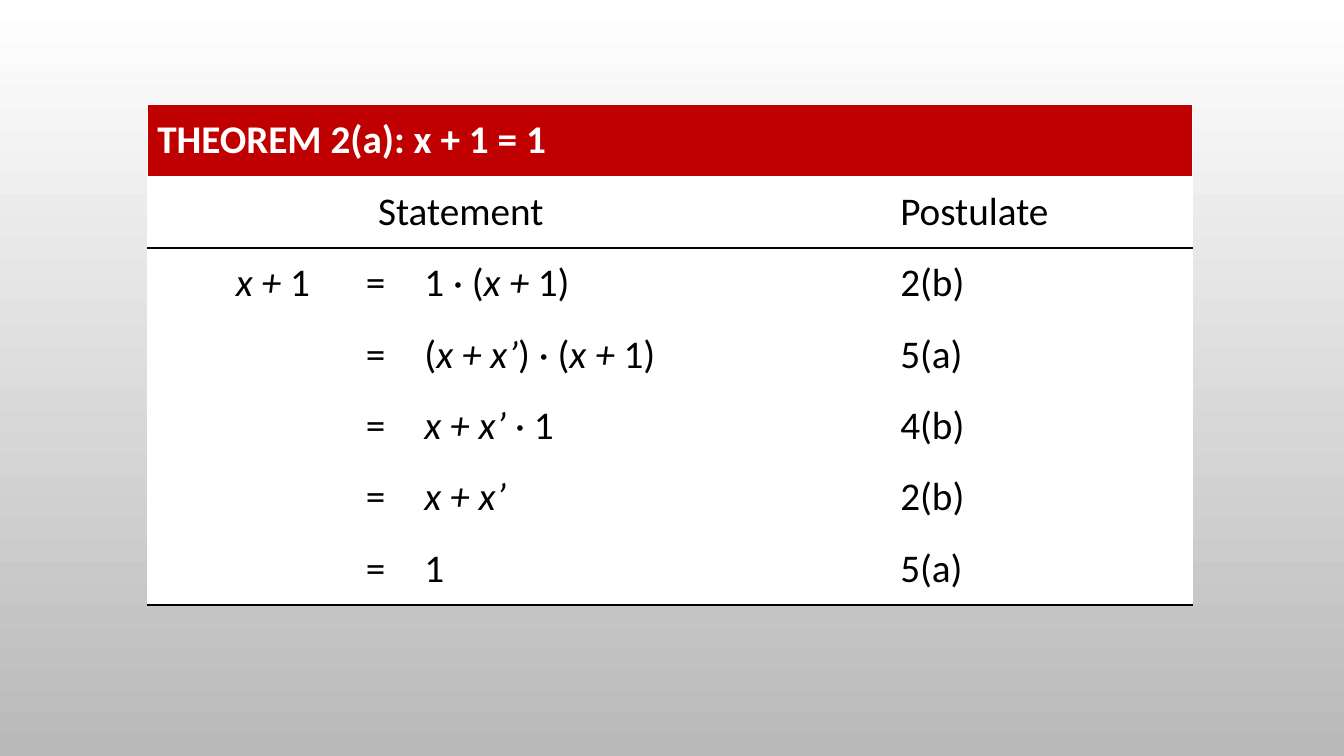
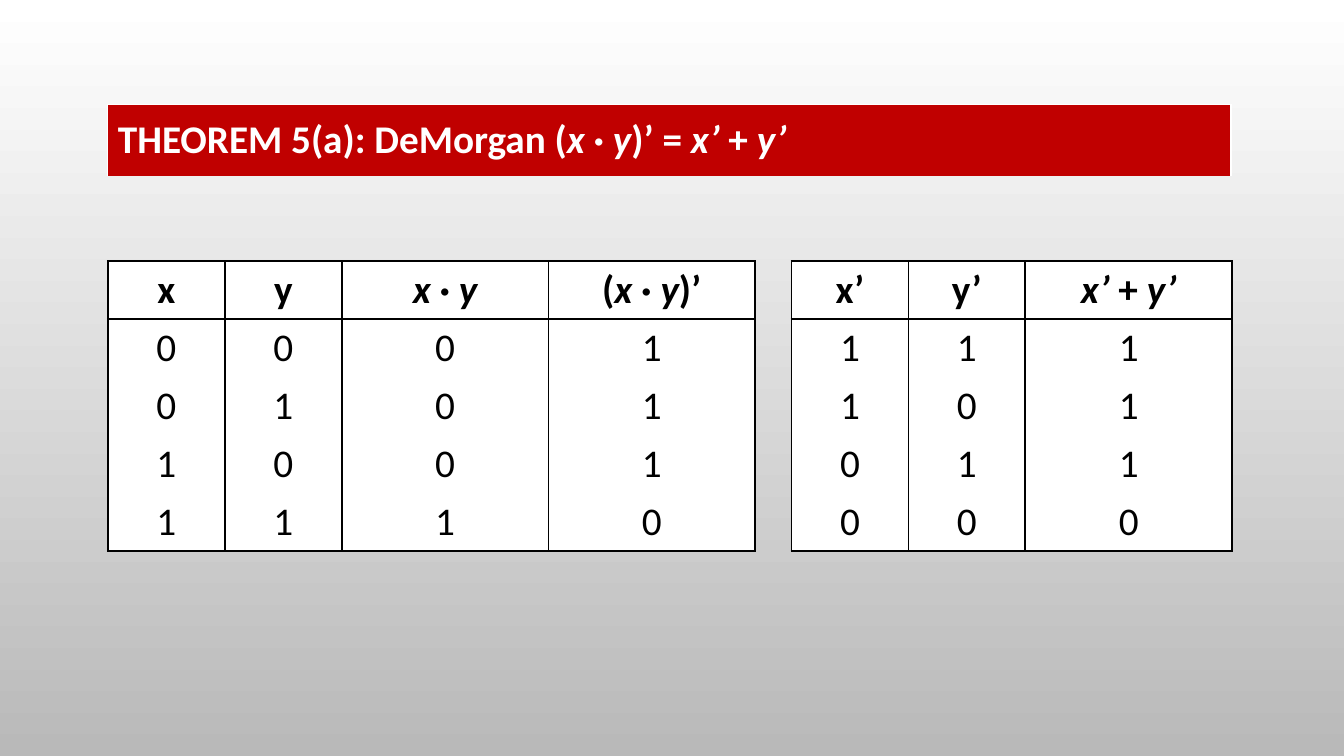
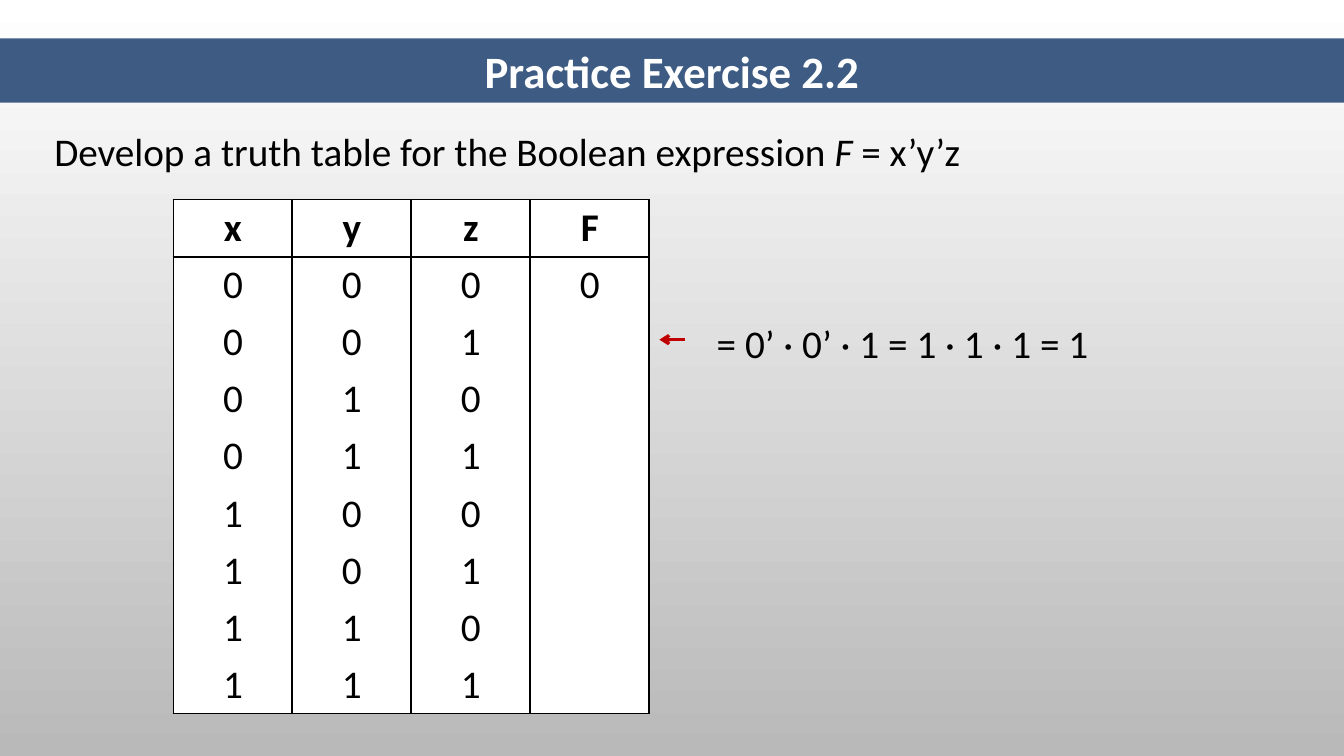
import itertools

import lxml.etree
import pptx
import pptx.dml.color
import pptx.enum.shapes
import pptx.enum.text
import pptx.oxml.ns
import pptx.util

Inches = pptx.util.Inches
Pt = pptx.util.Pt
qn = pptx.oxml.ns.qn
Align = pptx.enum.text.PP_ALIGN
Anchor = pptx.enum.text.MSO_ANCHOR
Fit = pptx.enum.text.MSO_AUTO_SIZE

HUES = {"ink": "000000", "paper": "FFFFFF", "shade": "B9B9B9",
        "red": "C00000", "blue": "3E5C83"}
BODY = {"name": "Calibri", "size": Pt(28), "bold": False}
HEAD = {**BODY, "bold": True}
TITLE = {**HEAD, "size": Pt(32)}
LINES = {"ink": Pt(1.5), "paper": Pt(1)}
PAD = {"margin_top": Inches(0.04), "margin_bottom": Inches(0.04),
       "vertical_anchor": Anchor.MIDDLE}


def tint(hue):
    return pptx.dml.color.RGBColor.from_string(HUES[hue])


def add(parent, tag, **attrs):
    return lxml.etree.SubElement(parent, qn(tag), **attrs)


class Deck:
    def __init__(self):
        self.prs = pptx.Presentation()
        self.prs.slide_width = Inches(13.33)
        self.prs.slide_height = Inches(7.5)
        fill = self.prs.slide_master.background.fill
        fill.gradient()
        fill.gradient_angle = 270
        for stop, hue in zip(fill.gradient_stops, ("paper", "shade")):
            stop.color.rgb = tint(hue)

    def page(self):
        self.slide = self.prs.slides.add_slide(self.prs.slide_layouts[6])

    def put(self, frame, text, style=BODY, hue="ink", align=Align.LEFT):
        para = frame.paragraphs[0]
        para.alignment = align
        for i, part in enumerate(text.split("*")):
            if part:
                run = para.add_run()
                run.text = part
                for key, value in {**style, "italic": i % 2 == 1}.items():
                    setattr(run.font, key, value)
                run.font.color.rgb = tint(hue)

    def label(self, text, left, top, width, wrap=True):
        box = self.slide.shapes.add_textbox(
            Inches(left), Inches(top), Inches(width), Inches(0.57))
        box.text_frame.word_wrap = wrap
        box.text_frame.auto_size = Fit.SHAPE_TO_FIT_TEXT
        self.put(box.text_frame, text)

    def title(self, text):
        bar = self.slide.shapes.add_shape(
            pptx.enum.shapes.MSO_SHAPE.RECTANGLE,
            0, Inches(0.38), self.prs.slide_width, Inches(0.64))
        bar.shadow.inherit = False
        bar.fill.solid()
        bar.fill.fore_color.rgb = tint("blue")
        bar.line.fill.background()
        self.put(bar.text_frame, text, TITLE, "paper", Align.CENTER)

    def arrow(self, start, end, top):
        line = self.slide.shapes.add_connector(
            pptx.enum.shapes.MSO_CONNECTOR.STRAIGHT,
            Inches(start), Inches(top), Inches(end), Inches(top))
        line.line.color.rgb = tint("red")
        line.line.width = Pt(2.25)
        props = line._element.spPr
        add(props.find(qn("a:ln")), "a:tailEnd", type="arrow")
        add(props, "a:effectLst")

    def grid(self, left, top, widths, height, count):
        table = self.slide.shapes.add_table(
            count, len(widths), Inches(left), Inches(top),
            Inches(sum(widths)), Inches(height)).table
        table.first_row = table.horz_banding = False
        for col, width in zip(table.columns, widths):
            col.width = Inches(width)
        return table

    def cell(self, cell, sides, hue="ink", fill="paper"):
        for key, value in PAD.items():
            setattr(cell, key, value)
        props = cell._tc.get_or_add_tcPr()
        for side in "LRTB":
            if side in sides:
                edge = add(props, f"a:ln{side}", w=str(LINES[hue]))
                add(add(edge, "a:solidFill"), "a:srgbClr", val=HUES[hue])
            else:
                add(add(props, f"a:ln{side}", w="0"), "a:noFill")
        cell.fill.solid()
        cell.fill.fore_color.rgb = tint(fill)

    def banner(self, table, text):
        for cell in table.rows[0].cells:
            self.cell(cell, "LTR", "paper", "red")
        self.put(table.cell(0, 0).text_frame, text, HEAD, "paper")

    def proof(self, text, steps):
        count = len(steps) + 2
        table = self.grid(1.46, 1.04, [2.07, 0.58, 3.57, 1.15, 3], 4.96, count)
        table.cell(0, 0).merge(table.cell(0, 4))
        table.cell(1, 0).merge(table.cell(1, 2))
        self.banner(table, text)
        for r in range(1, count):
            sides = {1: "B", 2: "T", count - 1: "B"}.get(r, "")
            for cell in table.rows[r].cells:
                self.cell(cell, sides)
        self.put(table.cell(1, 0).text_frame, "Statement", align=Align.CENTER)
        self.put(table.cell(1, 4).text_frame, "Postulate")
        table.cell(2, 0).margin_left = Inches(0.88)
        for r, (start, result, rule) in enumerate(steps, 2):
            for c, value in zip((0, 1, 2, 4), (start, "=", result, rule)):
                self.put(table.cell(r, c).text_frame, value)

    def truth(self, left, top, widths, height, heads, rows):
        rows = [heads, *rows]
        table = self.grid(left, top, widths, height, len(rows))
        for r, row in enumerate(rows):
            sides = "LR" + "T" * (r < 2) + "B" * (r in (0, len(rows) - 1))
            for c, value in enumerate(row):
                cell = table.cell(r, c)
                self.cell(cell, sides)
                self.put(cell.text_frame, str(value), BODY if r else HEAD,
                         align=Align.CENTER)


def main():
    deck = Deck()

    deck.page()
    deck.proof("THEOREM 2(a): x + 1 = 1", [
        ("*x + *1", "1 · (*x + *1)", "2(b)"),
        ("", "(*x + x’*) · (*x +* 1)", "5(a)"),
        ("", "*x + x’ *· 1", "4(b)"),
        ("", "*x + x’*", "2(b)"),
        ("", "1", "5(a)"),
    ])

    deck.page()
    deck.banner(deck.grid(1.07, 1.04, [11.14], 0.71, 1),
                "THEOREM 5(a): DeMorgan (*x *·* y*)’ = *x’ *+ *y’*")
    pairs = list(itertools.product((0, 1), repeat=2))
    deck.truth(1.07, 2.59, [1.16, 1.16, 2.05, 2.05], 2.88,
               ["x", "y", "*x *· *y*", "(*x *·* y*)’"],
               [(x, y, x & y, 1 - (x & y)) for x, y in pairs])
    deck.truth(7.85, 2.59, [1.16, 1.16, 2.05], 2.88,
               ["x’", "y’", "*x’ *+ *y’*"],
               [(1 - x, 1 - y, 1 - (x & y)) for x, y in pairs])

    deck.page()
    deck.label("Develop a truth table for the Boolean expression *F* = x’y’z",
               0.44, 1.21, 11.97)
    deck.title("Practice Exercise 2.2")
    deck.truth(1.72, 1.98, [1.18] * 4, 5.1, "xyzF",
               [(*bits, "" if any(bits) else 0)
                for bits in itertools.product((0, 1), repeat=3)])
    deck.label("= 0’ · 0’ · 1 = 1 · 1 · 1 = 1", 7.01, 3.12, 4.54, wrap=False)
    deck.arrow(6.79, 6.54, 3.37)

    deck.prs.save("out.pptx")


if __name__ == "__main__":
    main()
